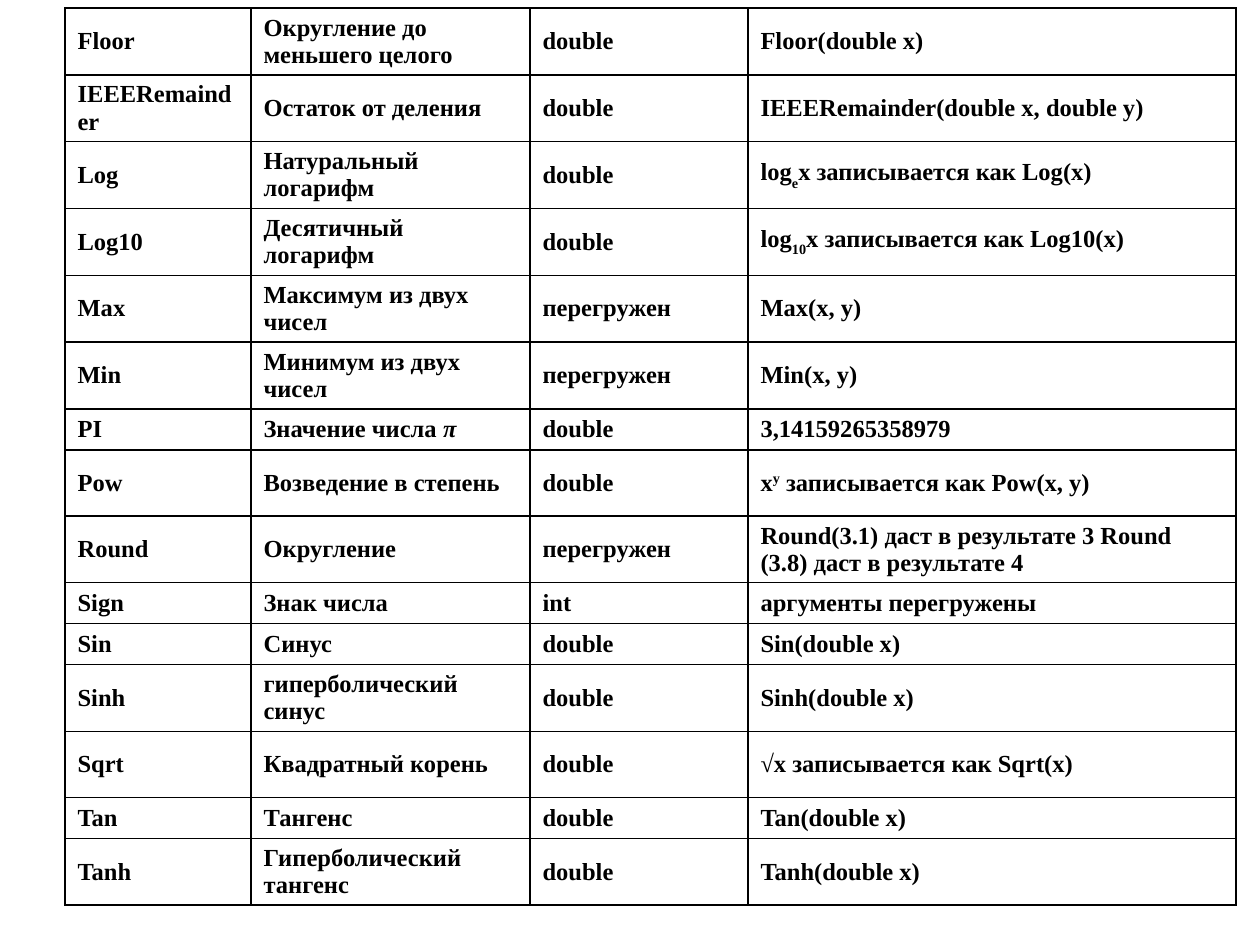
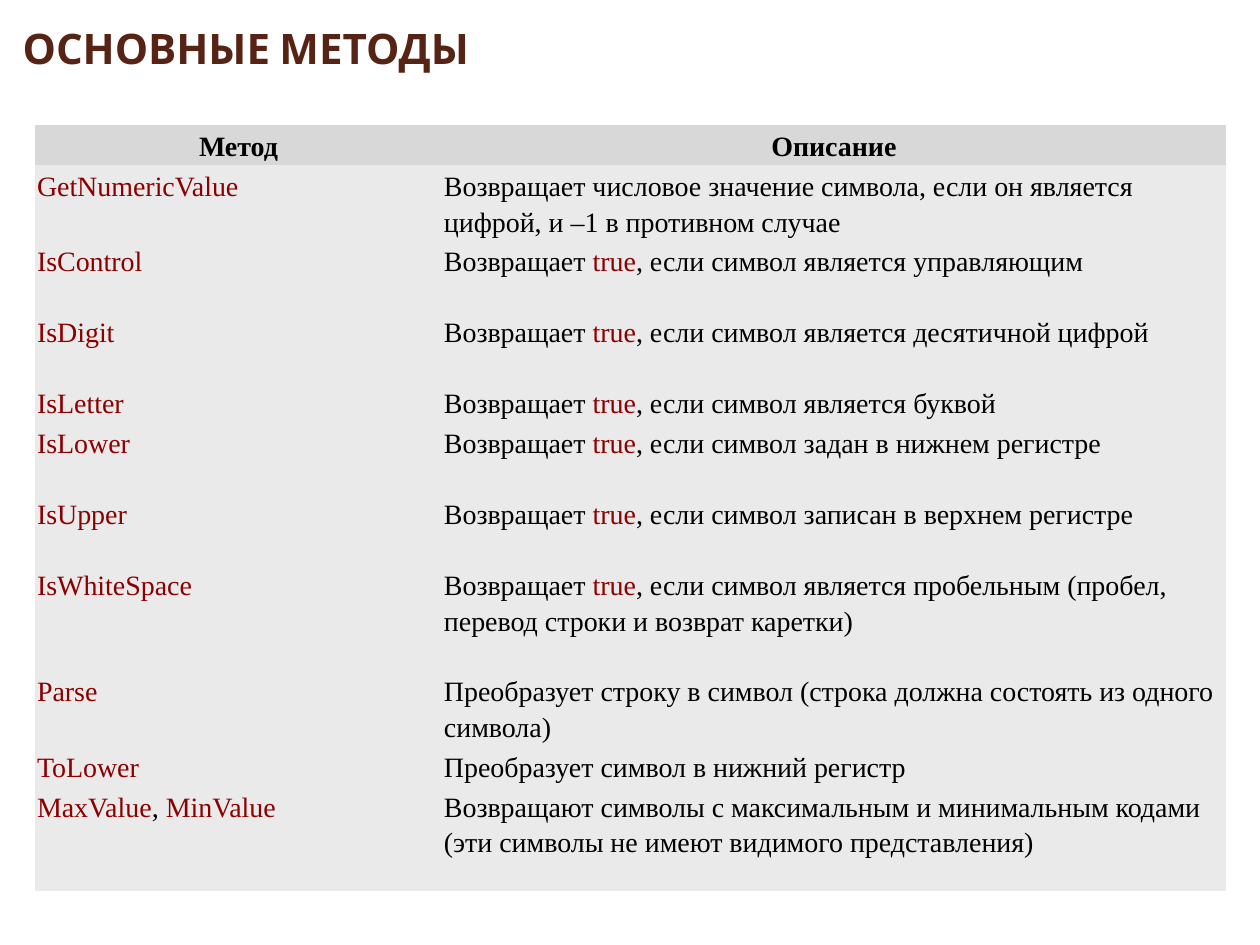
import pptx
import pptx.dml.color
import pptx.enum.text
import pptx.oxml
import pptx.oxml.ns
import pptx.util

PX = 914400 // 126
COLORS = {
    "ink": "000000",
    "title": "572314",
    "keyword": "8B0000",
    "header": "D8D8D8",
    "body": "EAEAEA",
}
TABLE_FONT = "Times New Roman"
TITLE_FONT = "Cabin"
ANCHOR = pptx.enum.text.MSO_ANCHOR
ALIGN = pptx.enum.text.PP_ALIGN

SHORT, TALL = 41, 66
MATH_COLUMNS = [186, 279, 218, 488]
MATH_METHODS = [
    (TALL, "Floor", "Округление до меньшего целого", "double", "Floor(double х)"),
    (TALL, "IEEERemainder", "Остаток от деления", "double",
     "IEEERemainder(double x, double y)"),
    (TALL, "Log", "Натуральный логарифм", "double",
     ["log", ("e", "sub"), "x записывается как Log(x)"]),
    (TALL, "Log10", "Десятичный логарифм", "double",
     ["log", ("10", "sub"), "x записывается как Log10(x)"]),
    (TALL, "Max", "Максимум из двух чисел", "перегружен", "Max(x, y)"),
    (TALL, "Min", "Минимум из двух чисел", "перегружен", "Min(x, y)"),
    (SHORT, "PI", ["Значение числа ", ("π", "italic")], "double", "3,14159265358979"),
    (TALL, "Pow", "Возведение в степень", "double",
     ["x", ("y", "super"), " записывается как Pow(x, y)"]),
    (TALL, "Round", "Округление", "перегружен",
     "Round(3.1) даст в результате 3 Round (3.8) даст в результате 4"),
    (SHORT, "Sign", "Знак числа", "int", "аргументы перегружены"),
    (SHORT, "Sin", "Синус", "double", "Sin(double x)"),
    (TALL, "Sinh", "гиперболический синус", "double", "Sinh(double x)"),
    (TALL, "Sqrt", "Квадратный корень", "double", "√x записывается как Sqrt(x)"),
    (SHORT, "Tan", "Тангенс", "double", "Tan(double x)"),
    (TALL, "Tanh", "Гиперболический тангенс", "double", "Tanh(double x)"),
]


def keyword(name):
    return (name, "keyword")


def returns_true(condition):
    return ["Возвращает ", keyword("true"), f", если символ {condition}"]


ONE_LINE, TWO_LINES, THREE_LINES = 37, 71, 106
CHAR_COLUMNS = [407, 784]
CHAR_METHODS = [
    (ONE_LINE, "Метод", "Описание"),
    (TWO_LINES, [keyword("GetNumericValue")],
     "Возвращает числовое значение символа, если он является цифрой, "
     "и –1 в противном случае"),
    (TWO_LINES, [keyword("IsControl")], returns_true("является управляющим")),
    (TWO_LINES, [keyword("IsDigit")], returns_true("является десятичной цифрой")),
    (ONE_LINE, [keyword("IsLetter")], returns_true("является буквой")),
    (TWO_LINES, [keyword("IsLower")], returns_true("задан в нижнем регистре")),
    (TWO_LINES, [keyword("IsUpper")], returns_true("записан в верхнем регистре")),
    (THREE_LINES, [keyword("IsWhiteSpace")],
     returns_true("является пробельным (пробел, перевод строки и возврат каретки)")),
    (TWO_LINES, [keyword("Parse")],
     "Преобразует строку в символ (строка должна состоять из одного символа)"),
    (ONE_LINE, [keyword("ToLower")], "Преобразует символ в нижний регистр"),
    (THREE_LINES, [keyword("MaxValue"), ", ", keyword("MinValue")],
     "Возвращают символы с максимальным и минимальным кодами "
     "(эти символы не имеют видимого представления)"),
]


class Deck:
    def __init__(self):
        self.presentation = pptx.Presentation()
        self.presentation.slide_width = pptx.util.Inches(10)
        self.presentation.slide_height = pptx.util.Inches(7.5)
        self.slide = None

    def color(self, name):
        return pptx.dml.color.RGBColor.from_string(COLORS[name])

    def add_slide(self, layout):
        self.slide = self.presentation.slides.add_slide(
            self.presentation.slide_layouts.get_by_name(layout))

    def style(self, font, family, size, color, bold):
        font.name = family
        font.size = pptx.util.Pt(size)
        font.bold = bold
        font.color.rgb = self.color(color)

    def title(self, text, left, top, width, height):
        heading = self.slide.shapes.title
        heading.left, heading.top = left * PX, top * PX
        heading.width, heading.height = width * PX, height * PX
        frame = heading.text_frame
        frame.text = text
        frame.auto_size = pptx.enum.text.MSO_AUTO_SIZE.NONE
        frame.vertical_anchor = ANCHOR.BOTTOM
        line = frame.paragraphs[0]
        line.alignment = ALIGN.LEFT
        line.line_spacing = pptx.util.Pt(20)
        self.style(line.font, TITLE_FONT, 24, "title", True)

    def table(self, left, top, columns, rows):
        heights = [row[0] for row in rows]
        table = self.slide.shapes.add_table(
            len(rows), len(columns), left * PX, top * PX,
            sum(columns) * PX, sum(heights) * PX).table
        table.first_row = table.horz_banding = False
        for column, width in zip(table.columns, columns):
            column.width = width * PX
        for row, height in zip(table.rows, heights):
            row.height = height * PX
        return table

    def cell(self, cell, parts, size, bold=False, fill=None, border=None,
             anchor=ANCHOR.MIDDLE, align=ALIGN.LEFT, spacing=1, margin=None):
        cell.vertical_anchor = anchor
        if margin is not None:
            cell.margin_left = cell.margin_right = margin * PX
            cell.margin_top = cell.margin_bottom = margin * PX
        if fill:
            cell.fill.solid()
            cell.fill.fore_color.rgb = self.color(fill)
        else:
            cell.fill.background()
        self.borders(cell, border)
        line = cell.text_frame.paragraphs[0]
        line.alignment = align
        line.line_spacing = spacing
        self.style(line.font, TABLE_FONT, size, "ink", bold)
        for part in [parts] if isinstance(parts, str) else parts:
            self.run(line, *([part] if isinstance(part, str) else part))

    def run(self, line, text, kind=None):
        run = line.add_run()
        run.text = text
        if kind == "keyword":
            run.font.color.rgb = self.color("keyword")
        elif kind == "italic":
            run.font.italic = True
        elif kind:
            shift = {"sub": "-30000", "super": "30000"}[kind]
            run._r.get_or_add_rPr().set("baseline", shift)

    def borders(self, cell, color):
        paint = "<a:noFill/>"
        if color:
            paint = f'<a:solidFill><a:srgbClr val="{COLORS[color]}"/></a:solidFill>'
        properties = cell._tc.get_or_add_tcPr()
        for index, side in enumerate(["lnL", "lnR", "lnT", "lnB"]):
            properties.insert(index, pptx.oxml.parse_xml(
                f'<a:{side} {pptx.oxml.ns.nsdecls("a")} w="12700">{paint}</a:{side}>'))


def math_slide(deck):
    deck.add_slide("Blank")
    table = deck.table(65, 8, MATH_COLUMNS, MATH_METHODS)
    for row, (_, *texts) in enumerate(MATH_METHODS):
        for column, text in enumerate(texts):
            deck.cell(table.cell(row, column), text, 14, bold=True, border="ink")


def char_slide(deck):
    deck.add_slide("Title Only")
    deck.title("ОСНОВНЫЕ МЕТОДЫ", 10, 16, 1250, 63)
    table = deck.table(35, 125, CHAR_COLUMNS, CHAR_METHODS)
    header = dict(bold=True, fill="header", align=ALIGN.CENTER)
    body = dict(fill="body", anchor=ANCHOR.TOP)
    for row, (_, *texts) in enumerate(CHAR_METHODS):
        for column, text in enumerate(texts):
            deck.cell(table.cell(row, column), text, 16, spacing=1.15, margin=2,
                      **(body if row else header))


def main():
    deck = Deck()
    math_slide(deck)
    char_slide(deck)
    deck.presentation.save("out.pptx")


if __name__ == "__main__":
    main()
